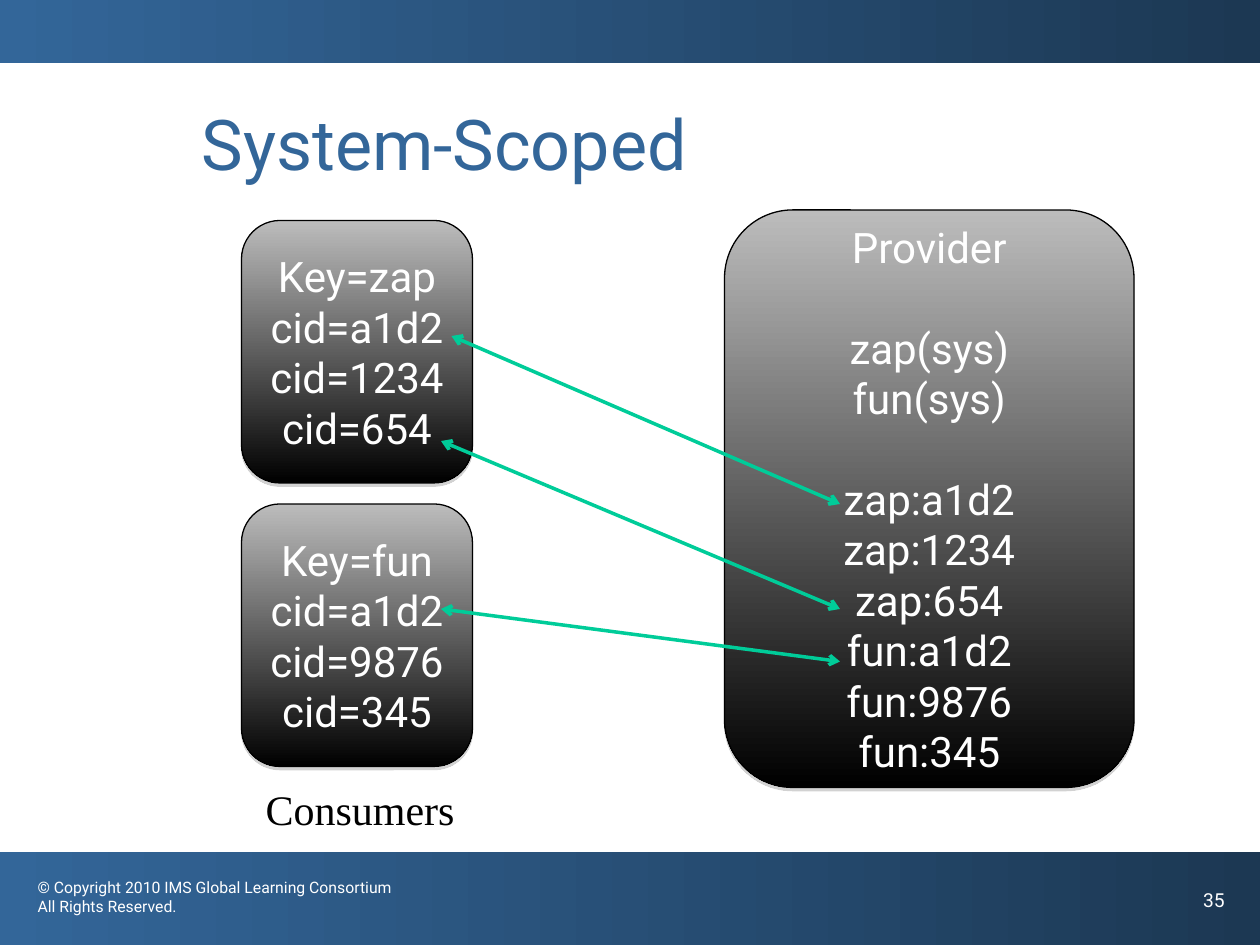
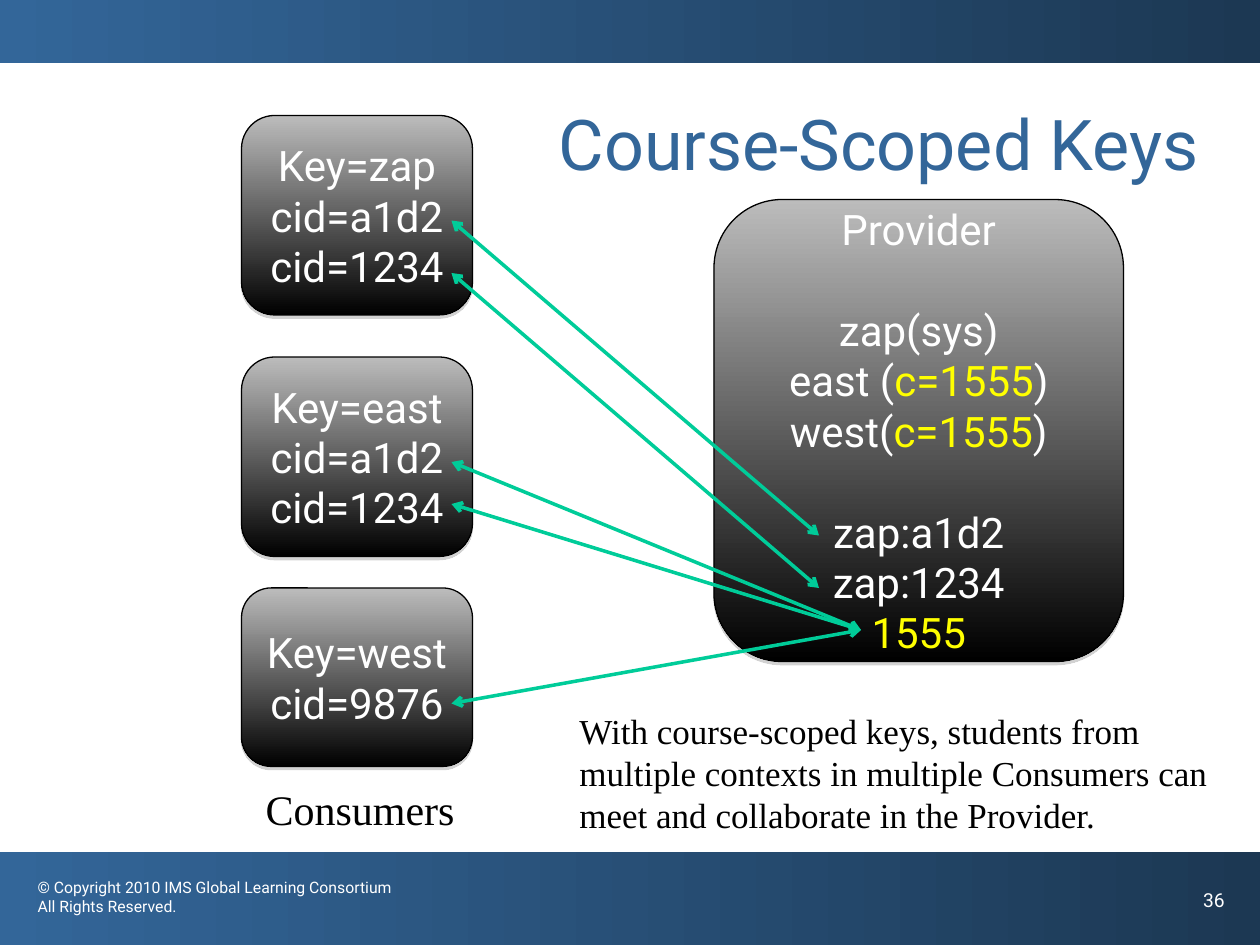
import pptx
import pptx.dml.color
import pptx.enum.shapes
import pptx.enum.text
import pptx.oxml
import pptx.oxml.ns
import pptx.util

Pt = pptx.util.Pt
ShapeKind = pptx.enum.shapes.MSO_SHAPE
Align = pptx.enum.text.PP_ALIGN
Anchor = pptx.enum.text.MSO_ANCHOR

SANS, SERIF = "Roboto", "Times New Roman"
BLUE, NAVY, GREEN, YELLOW = "336699", "1C3853", "00CC99", "FFFF00"
WHITE, BLACK, SILVER, GREY = "FFFFFF", "000000", "BCBCBC", "808080"
DRAWING = pptx.oxml.ns.nsdecls("a")

COPYRIGHT = "© Copyright 2010 IMS Global Learning Consortium\nAll Rights Reserved."
BANDS = [(0, 36), (486.8, 53.2)]
CONSUMER_LEFT, CONSUMER_WIDTH, PROVIDER_WIDTH = 138, 132, 234
LINE_HEIGHT = 28.8

# Text between bars is highlighted.
SLIDES = [
    {
        "number": "35",
        "title": ("System-Scoped", 108, 594),
        "consumers": [
            (126, 150, ["Key=zap", "cid=a1d2", "cid=1234", "cid=654"]),
            (288, 150, ["Key=fun", "cid=a1d2", "cid=9876", "cid=345"]),
        ],
        "provider": (414, 120, 330, [
            ["Provider"],
            ["zap(sys)", "fun(sys)"],
            ["zap:a1d2", "zap:1234", "zap:654", "fun:a1d2", "fun:9876", "fun:345"],
        ]),
        "arrows": [
            (252, 252, 480, 348),
            (258, 192, 480, 288),
            (252, 348, 480, 378),
        ],
        "note": None,
    },
    {
        "number": "36",
        "title": ("Course-Scoped Keys", 312, 396),
        "consumers": [
            (66, 114, ["Key=zap", "cid=a1d2", "cid=1234"]),
            (204, 114, ["Key=east", "cid=a1d2", "cid=1234"]),
            (336, 102, ["Key=west", "cid=9876"]),
        ],
        "provider": (408, 114, 264, [
            ["Provider"],
            ["zap(sys)", "east (|c=1555|)", "west(|c=1555|)"],
            ["zap:a1d2", "zap:1234", "|1555|"],
        ]),
        "arrows": [
            (258, 126, 468, 306),
            (258, 156, 468, 336),
            (258, 264, 492, 360),
            (258, 288, 492, 360),
            (258, 402, 492, 360),
        ],
        "note": "With course-scoped keys, students from multiple contexts in "
                "multiple Consumers can meet and collaborate in the Provider.",
    },
]


def color(value):
    return pptx.dml.color.RGBColor.from_string(value)


def style(font, size, name, value):
    font.size = Pt(size)
    font.name = name
    font.color.rgb = color(value)


def fill_gradient(shape, start, end, angle):
    shape.fill.gradient()
    shape.fill.gradient_angle = angle
    for stop, value, position in zip(shape.fill.gradient_stops, (start, end), (0, 1)):
        stop.color.rgb = color(value)
        stop.position = position


def add_band(page, top, height):
    band = page.shapes.add_shape(ShapeKind.RECTANGLE, 0, Pt(top), Pt(720), Pt(height))
    band.shadow.inherit = False
    band.line.fill.background()
    fill_gradient(band, BLUE, NAVY, 0)


def add_label(page, area, text, size, name, value, wrap=True):
    label = page.shapes.add_textbox(*map(Pt, area))
    label.text_frame.word_wrap = wrap
    label.text_frame.text = text
    for para in label.text_frame.paragraphs:
        for span in para.runs:
            style(span.font, size, name, value)


def add_system_box(page, left, top, width, height, groups):
    box = page.shapes.add_shape(
        ShapeKind.ROUNDED_RECTANGLE, Pt(left), Pt(top), Pt(width), Pt(height))
    fill_gradient(box, SILVER, BLACK, 270)
    box.line.color.rgb = color(BLACK)
    box.line.width = Pt(0.75)
    box.shadow.inherit = False
    effects = box.element.spPr.find(pptx.oxml.ns.qn("a:effectLst"))
    effects.append(pptx.oxml.parse_xml(
        f'<a:outerShdw {DRAWING} blurRad="0" dist="{Pt(1.8)}" dir="5400000" rotWithShape="0">'
        f'<a:srgbClr val="{GREY}"><a:alpha val="35000"/></a:srgbClr></a:outerShdw>'))

    frame = box.text_frame
    frame.word_wrap = True
    frame.vertical_anchor = Anchor.MIDDLE
    lines = [(line, group > 0 and row == 0)
             for group, members in enumerate(groups) for row, line in enumerate(members)]
    for index, (line, opens_group) in enumerate(lines):
        para = frame.add_paragraph() if index else frame.paragraphs[0]
        para.alignment = Align.CENTER
        if opens_group:
            para.space_before = Pt(LINE_HEIGHT)
        for piece, text in enumerate(line.split("|")):
            if text:
                span = para.add_run()
                span.text = text
                style(span.font, 24, SANS, YELLOW if piece % 2 else WHITE)


def add_arrow(page, ends):
    arrow = page.shapes.add_connector(
        pptx.enum.shapes.MSO_CONNECTOR.STRAIGHT, *map(Pt, ends))
    arrow.line.color.rgb = color(GREEN)
    arrow.line.width = Pt(2)
    outline = arrow.line._get_or_add_ln()
    for end in ("headEnd", "tailEnd"):
        outline.append(pptx.oxml.parse_xml(f'<a:{end} {DRAWING} type="arrow"/>'))
    arrow.element.spPr.append(pptx.oxml.parse_xml(f"<a:effectLst {DRAWING}/>"))


def add_title(page, text, left, width):
    title = page.shapes.title
    title.left, title.top, title.width, title.height = map(Pt, (left, 54, width, 84))
    frame = title.text_frame
    frame.text = text
    frame.word_wrap = True
    frame.auto_size = pptx.enum.text.MSO_AUTO_SIZE.NONE
    frame.vertical_anchor = Anchor.TOP
    frame.paragraphs[0].alignment = Align.LEFT
    style(frame.paragraphs[0].runs[0].font, 40, SANS, BLUE)


def build_slide(deck, content):
    page = deck.slides.add_slide(deck.slide_layouts[5])
    for top, height in BANDS:
        add_band(page, top, height)
    add_label(page, (14.4, 498.2, 225.4, 36), COPYRIGHT, 9, SANS, WHITE)
    add_label(page, (680.4, 504, 39.6, 36), content["number"], 11, SANS, WHITE)
    add_title(page, *content["title"])

    for top, height, lines in content["consumers"]:
        add_system_box(page, CONSUMER_LEFT, top, CONSUMER_WIDTH, height, [lines])
    left, top, height, groups = content["provider"]
    add_system_box(page, left, top, PROVIDER_WIDTH, height, groups)
    for ends in content["arrows"]:
        add_arrow(page, ends)

    add_label(page, (144.7, 444, 122.4, 36), "Consumers", 24, SERIF, BLACK, wrap=False)
    if content["note"]:
        add_label(page, (324, 402, 378, 79.2), content["note"], 20, SERIF, BLACK)


def main():
    deck = pptx.Presentation()
    deck.slide_width, deck.slide_height = Pt(720), Pt(540)
    for content in SLIDES:
        build_slide(deck, content)
    deck.save("out.pptx")


if __name__ == "__main__":
    main()
